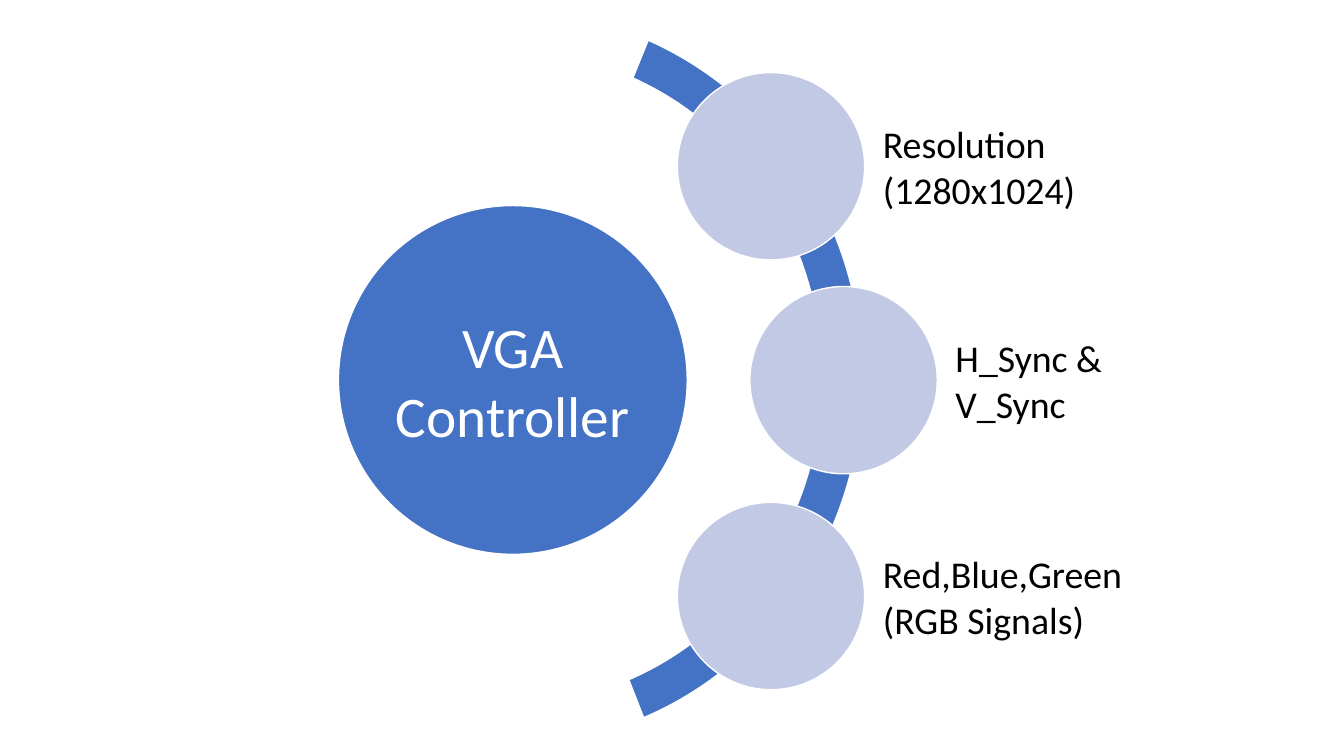
from pptx import Presentation, util as u
from pptx.dml.color import RGBColor
from pptx.enum import shapes, text

BLUE = RGBColor(0x44, 0x72, 0xC4)
PALE_BLUE = RGBColor(0xC1, 0xC9, 0xE4)
WHITE = RGBColor(0xFF, 0xFF, 0xFF)
BLACK = RGBColor(0x00, 0x00, 0x00)


class RadialSlide:
    """Holds the style and the current slide."""

    font_name = "Calibri"
    outline = u.Pt(1)

    def __init__(self, slide):
        self.slide = slide

    def shape(self, kind, left, top, width, height, fill):
        shape = self.slide.shapes.add_shape(
            kind, u.Cm(left), u.Cm(top), u.Cm(width), u.Cm(height))
        shape.shadow.inherit = False
        shape.fill.solid()
        shape.fill.fore_color.rgb = fill
        shape.line.color.rgb = WHITE
        shape.line.width = self.outline
        return shape

    def circle(self, left, top, size, fill):
        return self.shape(shapes.MSO_SHAPE.OVAL, left, top, size, size, fill)

    def arc(self, left, top, width, height, adjustments):
        band = self.shape(shapes.MSO_SHAPE.BLOCK_ARC, left, top, width, height, BLUE)
        for index, value in enumerate(adjustments):
            band.adjustments[index] = value

    def label(self, left, top, width, height, wording):
        box = self.slide.shapes.add_textbox(
            u.Cm(left), u.Cm(top), u.Cm(width), u.Cm(height))
        self.set_wording(box, wording, 27, BLACK, text.PP_ALIGN.LEFT, 0.1)

    def set_wording(self, shape, wording, size, color, align, inset):
        frame = shape.text_frame
        frame.word_wrap = True
        frame.vertical_anchor = text.MSO_ANCHOR.MIDDLE
        frame.margin_left = frame.margin_right = u.Cm(inset)
        frame.margin_top = frame.margin_bottom = u.Cm(inset)
        paragraph = frame.paragraphs[0]
        paragraph.text = wording
        paragraph.alignment = align
        for run in paragraph.runs:
            run.font.name = self.font_name
            run.font.size = u.Pt(size)
            run.font.color.rgb = color


def main():
    prs = Presentation()
    prs.slide_width, prs.slide_height = u.Cm(33.87), u.Cm(19.05)
    radial = RadialSlide(prs.slides.add_slide(prs.slide_layouts[6]))

    # Central topic
    controller = radial.circle(8.53, 5.18, 8.79, BLUE)
    radial.set_wording(controller, "VGA\vController", 41, WHITE, text.PP_ALIGN.CENTER, 0)

    # Arc behind the satellites
    radial.arc(4.01, 0.28, 17.73, 18.49, (175.28, 41.19, 0.058))

    # Satellites with their labels
    satellite_size = 4.72
    signals = [
        (17.07, 1.83, "Resolution\v(1280x1024)"),
        (18.9, 7.22, "H_Sync & V_Sync"),
        (17.07, 12.66, "Red,Blue,Green\v(RGB Signals)"),
    ]
    for left, top, wording in signals:
        radial.circle(left, top, satellite_size, PALE_BLUE)
        radial.label(left + 5.08, top + 0.08, 6.3, 4.57, wording)

    prs.save("out.pptx")


if __name__ == "__main__":
    main()
